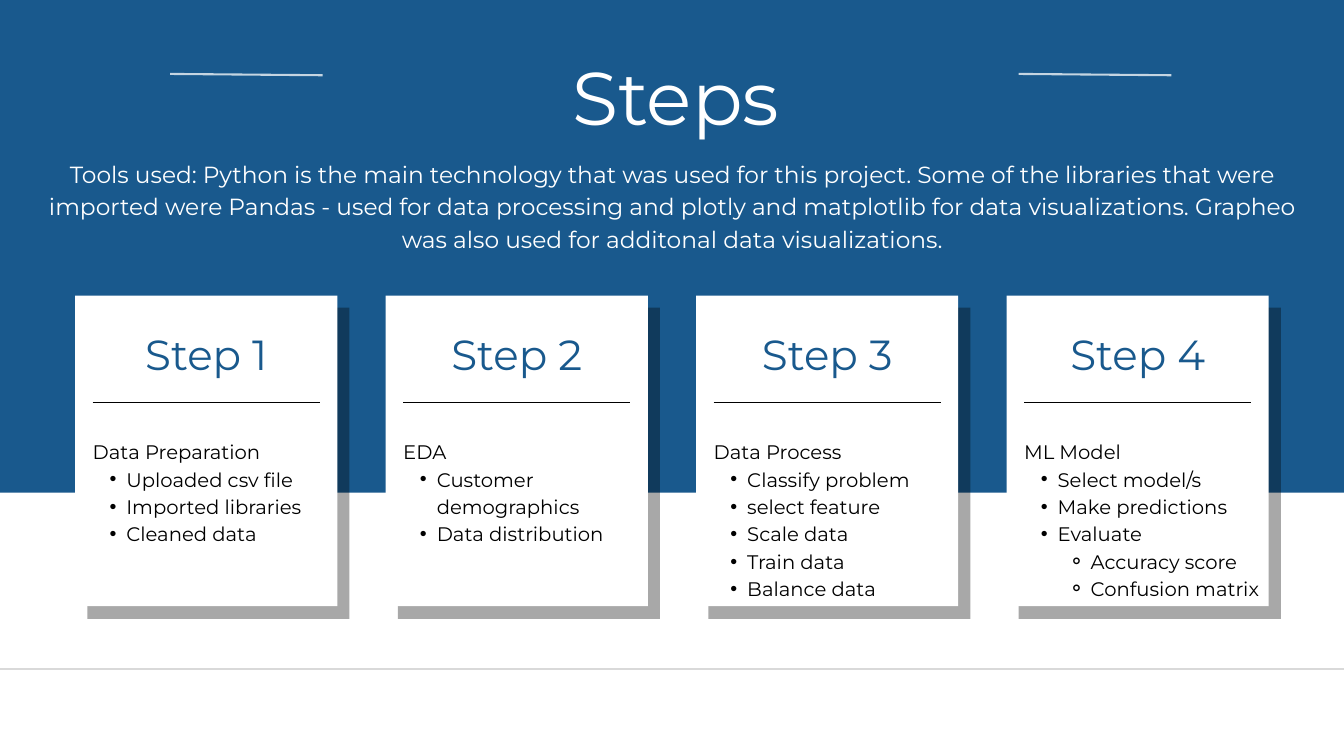
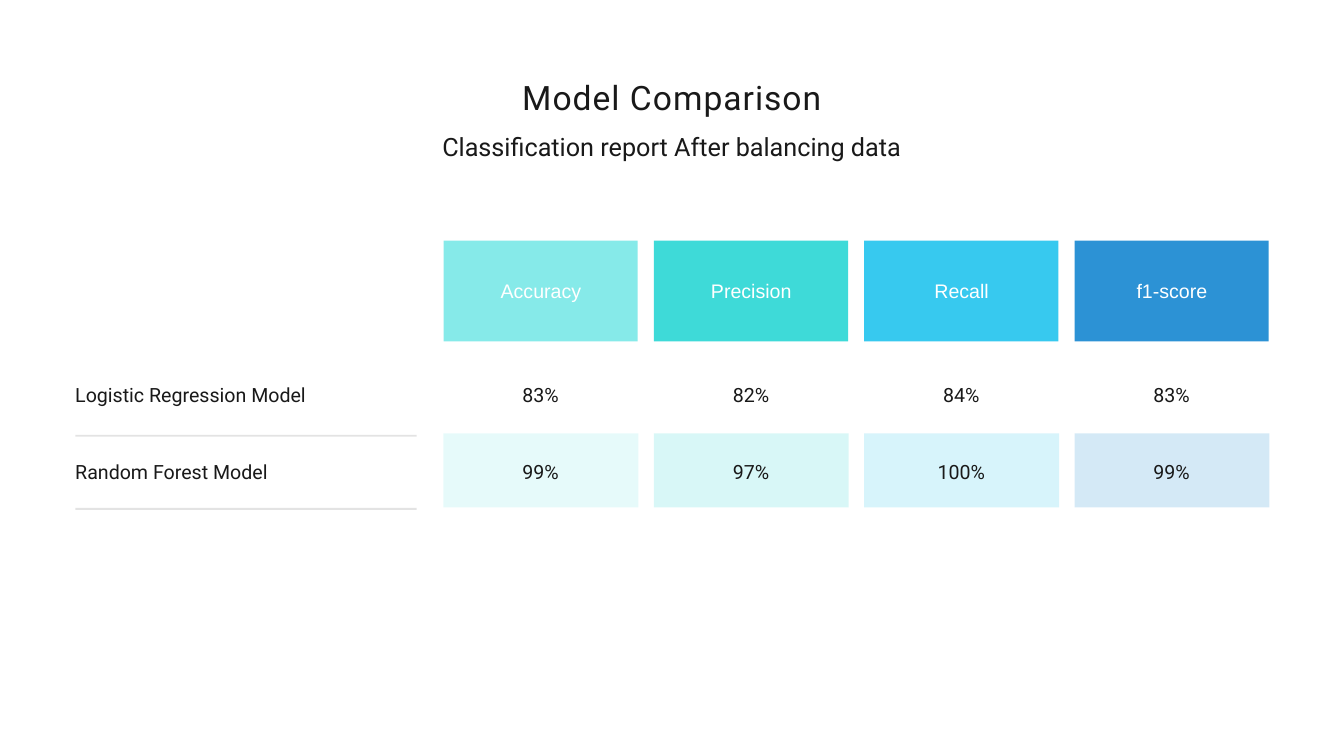
import pptx
import pptx.util
import pptx.dml.color
import pptx.enum.shapes
import pptx.enum.text
import pptx.oxml.ns
from lxml import etree

PX = 9144
COLOURS = {
    "blue": "19598D",
    "white": "FFFFFF",
    "black": "000000",
    "ink": "191919",
    "pale_rule": "D9D9D9",
    "row_rule": "777777",
    "mint": "86EAE9",
    "turquoise": "3EDAD8",
    "sky": "37C9EF",
    "azure": "2C92D5",
}
BULLETS = {1: ("•", 50, -25), 2: ("⚬", 99, -33)}
ALIGN = pptx.enum.text.PP_ALIGN

INTRODUCTION = (
    "Tools used: Python is the main technology that was used for this project. "
    "Some of the libraries that were imported were Pandas - used for data processing "
    "and plotly and matplotlib for data visualizations. Grapheo was also used for "
    "additonal data visualizations."
)
STEPS = [
    [("Data Preparation", 0), ("Uploaded csv file", 1), ("Imported libraries", 1),
     ("Cleaned data", 1)],
    [("EDA", 0), ("Customer demographics", 1), ("Data distribution", 1)],
    [("Data Process", 0), ("Classify problem", 1), ("select feature", 1),
     ("Scale data", 1), ("Train data", 1), ("Balance data", 1)],
    [("ML Model", 0), ("Select model/s", 1), ("Make predictions", 1), ("Evaluate", 1),
     ("Accuracy score", 2), ("Confusion matrix", 2)],
]
MODELS = ["Logistic Regression Model", "Random Forest Model"]
METRICS = [
    ("Accuracy", "mint", ["83%", "99%"]),
    ("Precision", "turquoise", ["82%", "97%"]),
    ("Recall", "sky", ["84%", "100%"]),
    ("f1-score", "azure", ["83%", "99%"]),
]


def rgb(colour):
    return pptx.dml.color.RGBColor.from_string(COLOURS[colour])


def qualified(tag):
    return pptx.oxml.ns.qn(tag)


def set_opacity(element, percent):
    for colour in element.iter(qualified("a:srgbClr")):
        etree.SubElement(colour, qualified("a:alpha"), val=str(percent * 1000))


def add_rectangle(slide, left, top, width, height, colour, opacity=100):
    shape = slide.shapes.add_shape(
        pptx.enum.shapes.MSO_SHAPE.RECTANGLE,
        left * PX, top * PX, width * PX, height * PX)
    shape.shadow.inherit = False
    shape.fill.solid()
    shape.fill.fore_color.rgb = rgb(colour)
    shape.line.fill.background()
    if opacity < 100:
        set_opacity(shape._element.spPr, opacity)


def add_line(slide, start, end, colour, weight, opacity=100):
    connector = slide.shapes.add_connector(
        pptx.enum.shapes.MSO_CONNECTOR.STRAIGHT,
        start[0] * PX, start[1] * PX, end[0] * PX, end[1] * PX)
    connector.line.color.rgb = rgb(colour)
    connector.line.width = pptx.util.Pt(weight)
    properties = connector._element.spPr
    if opacity < 100:
        set_opacity(properties, opacity)
    etree.SubElement(properties, qualified("a:effectLst"))


def add_bullet(paragraph, level):
    character, margin, indent = BULLETS[level]
    paragraph.level = level
    properties = paragraph._p.get_or_add_pPr()
    properties.set("marL", str(margin * PX))
    properties.set("indent", str(indent * PX))
    etree.SubElement(properties, qualified("a:buFont"), typeface="Arial")
    etree.SubElement(properties, qualified("a:buChar"), char=character)


def add_text(slide, box, lines, size, spacing, font, colour, align=ALIGN.CENTER):
    left, top, width, height = box
    text_box = slide.shapes.add_textbox(left * PX, top * PX, width * PX, height * PX)
    frame = text_box.text_frame
    frame.word_wrap = True
    frame.auto_size = pptx.enum.text.MSO_AUTO_SIZE.SHAPE_TO_FIT_TEXT
    frame.margin_left = frame.margin_top = frame.margin_right = frame.margin_bottom = 0
    for index, (text, level) in enumerate(lines):
        paragraph = frame.add_paragraph() if index else frame.paragraphs[0]
        paragraph.text = text
        paragraph.alignment = align
        paragraph.line_spacing = pptx.util.Pt(spacing)
        if level:
            add_bullet(paragraph, level)
        paragraph.font.size = pptx.util.Pt(size)
        paragraph.font.name = font
        paragraph.font.color.rgb = rgb(colour)
    return frame


def add_label(slide, box, text, colour="ink", font="Roboto", align=ALIGN.CENTER):
    add_text(slide, box, [(text, 0)], 21, 25.2, font, colour, align)


def add_header(slide, left, top):
    add_text(slide, (left + 566, top + 98, 879, 116), [("Steps", 0)],
             80, 80, "Montserrat", "white")
    for line_left in (left + 253, left + 1516):
        add_line(slide, (line_left, top + 110), (line_left + 227, top + 112),
                 "white", 2.25, 75)
    add_text(slide, (left + 39, top + 231, 1922, 141), [(INTRODUCTION, 0)],
             25, 35, "Montserrat", "white")


def add_step_card(slide, left, top, number, lines):
    add_rectangle(slide, left + 18, top + 18, 390, 463, "black", 34)
    add_rectangle(slide, left, top, 390, 462, "white")
    inner = left + 26
    add_text(slide, (inner, top + 36, 338, 82), [(f"Step {number}", 0)],
             45, 63, "Montserrat", "blue")
    add_line(slide, (inner, top + 159), (inner + 338, top + 159), "black", 1.5)
    add_text(slide, (inner, top + 209, 360, 41 * len(lines)), lines,
             21, 29.4, "Montserrat", "black", ALIGN.JUSTIFY)


def build_steps_slide(slide):
    add_rectangle(slide, -75, -17, 2150, 750, "blue")
    add_header(slide, 0, 0)
    for index, lines in enumerate(STEPS):
        add_step_card(slide, 112 + 462 * index, 440, index + 1, lines)
    add_line(slide, (-31, 995), (2031, 995), "pale_rule", 2.25)


def add_model_names(slide, left, top):
    for index, model in enumerate(MODELS):
        add_label(slide, (left, top + 114 * index, 433, 35), model, align=ALIGN.LEFT)
        add_rectangle(slide, left, top + 77 + 109 * index, 508, 3, "row_rule", 20)


def add_metric_column(slide, left, top, name, colour, values):
    add_rectangle(slide, left, top, 289, 150, colour)
    add_label(slide, (left + 17, top + 57, 256, 35), name, "white", "Arial")
    add_rectangle(slide, left, top + 287, 290, 110, colour, 20)
    for index, value in enumerate(values):
        add_label(slide, (left + 36, top + 212 + 114 * index, 217, 35), value)


def build_comparison_slide(slide):
    title = add_text(slide, (387, 109, 1226, 63), [("Model Comparison", 0)],
                     36, 47.2, "Roboto", "ink")
    title.paragraphs[0].runs[0]._r.get_or_add_rPr().set("spc", "110")
    add_text(slide, (451, 195, 1097, 45),
             [("Classification report After balancing data", 0)],
             27, 32.4, "Roboto", "ink")
    add_model_names(slide, 112, 570)
    for index, metric in enumerate(METRICS):
        add_metric_column(slide, 660 + 313 * index, 358, *metric)


def main():
    presentation = pptx.Presentation()
    presentation.slide_width = 2000 * PX
    presentation.slide_height = 1125 * PX
    for build in (build_steps_slide, build_comparison_slide):
        build(presentation.slides.add_slide(presentation.slide_layouts[6]))
    presentation.save("out.pptx")


if __name__ == "__main__":
    main()
